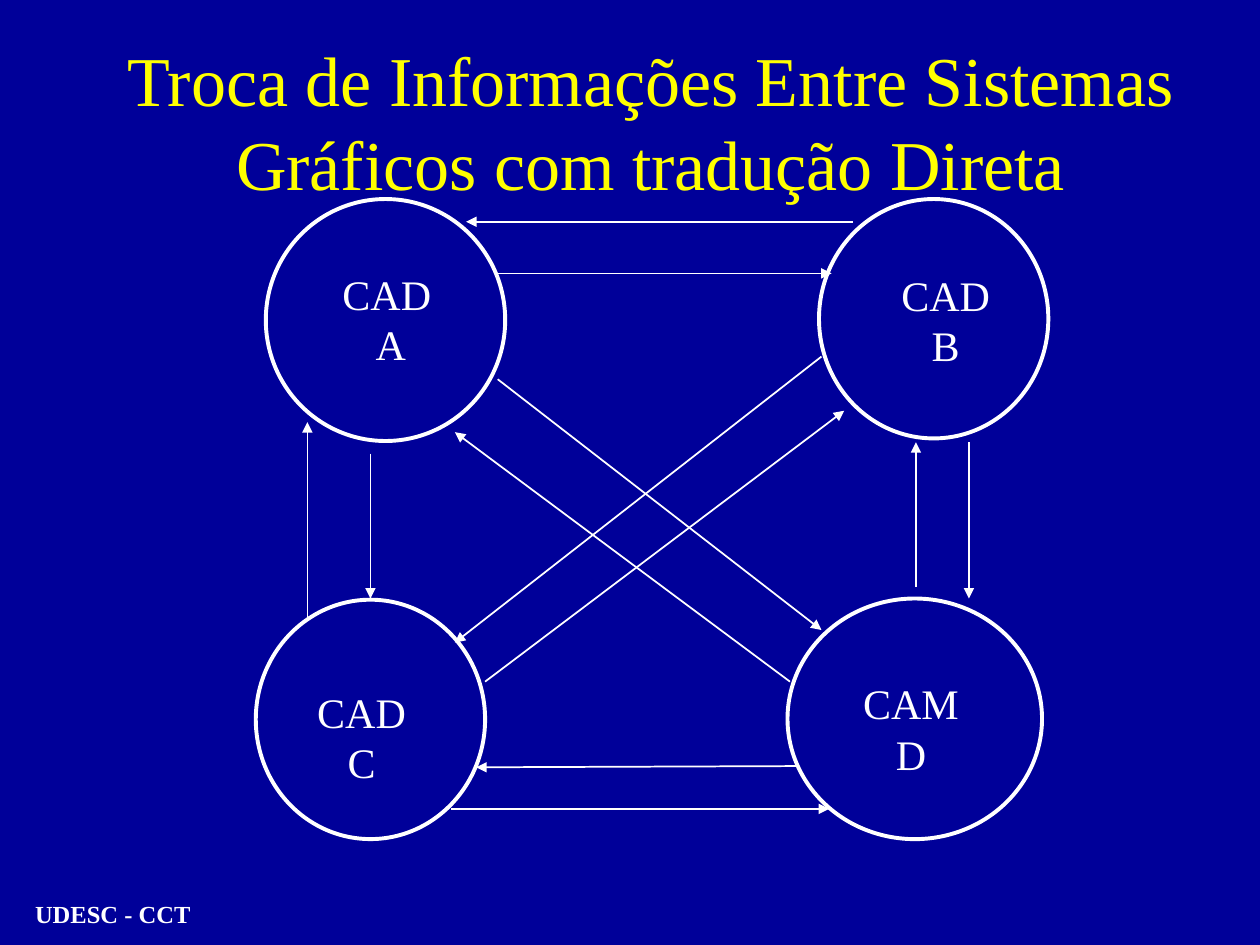
"""Build a slide showing direct data translation between four graphic systems."""
import dataclasses

import pptx
import pptx.dml.color
import pptx.enum.shapes
import pptx.enum.text
import pptx.oxml.ns
import pptx.util
from lxml import etree
from pptx.util import Inches


@dataclasses.dataclass(frozen=True)
class Theme:
    font: str = "Times New Roman"
    background: str = "000099"
    foreground: str = "FFFFFF"
    accent: str = "FFFF00"
    title_size: int = 40
    label_size: int = 24
    footer_size: int = 14
    circle_width: float = 2.25
    arrow_width: float = 1


theme = Theme()
color = pptx.dml.color.RGBColor.from_string
align = pptx.enum.text.PP_ALIGN
anchors = pptx.enum.text.MSO_ANCHOR
qn = pptx.oxml.ns.qn

presentation = pptx.Presentation()
presentation.slide_width, presentation.slide_height = Inches(10), Inches(7.5)
slide = presentation.slides.add_slide(presentation.slide_layouts[6])
slide.background.fill.solid()
slide.background.fill.fore_color.rgb = color(theme.background)


def add_text(text, *, box, size=theme.label_size, text_color=theme.foreground,
             bold=False, alignment=align.CENTER, anchor=anchors.TOP, wrap=True):
    """Add a text box; a newline starts a paragraph and a vertical tab breaks a line."""
    shape = slide.shapes.add_textbox(*map(Inches, box))
    frame = shape.text_frame
    frame.text = text
    frame.word_wrap = wrap
    frame.vertical_anchor = anchor
    frame.auto_size = pptx.enum.text.MSO_AUTO_SIZE.SHAPE_TO_FIT_TEXT
    for paragraph in frame.paragraphs:
        paragraph.alignment = alignment
        for run in paragraph.runs:
            run.font.name = theme.font
            run.font.size = pptx.util.Pt(size)
            run.font.bold = bold
            run.font.color.rgb = color(text_color)


systems = [
    ("CAD\n A", (2.11, 1.58, 1.9, 1.92), (2.42, 2.08, 1.3, 0.83), True),
    ("CAD\vB", (6.5, 1.58, 1.82, 1.9), (6.93, 2.09, 1.15, 0.83), True),
    ("CAD\vC", (2.03, 4.76, 1.82, 1.9), (2.4, 5.4, 0.94, 0.83), False),
    ("CAM\vD", (6.25, 4.75, 2.02, 1.91), (6.73, 5.33, 1, 0.83), False),
]
for label, circle_box, label_box, wrap in systems:
    circle = slide.shapes.add_shape(
        pptx.enum.shapes.MSO_SHAPE.OVAL, *map(Inches, circle_box))
    circle.shadow.inherit = False
    circle.fill.background()
    circle.line.color.rgb = color(theme.foreground)
    circle.line.width = pptx.util.Pt(theme.circle_width)
    add_text(label, box=label_box, wrap=wrap)

arrows = [
    (6.27, 5.41, 3.61, 3.43),
    (3.95, 3.01, 6.52, 5),
    (6.52, 2.83, 3.61, 5.1),
    (3.85, 5.41, 6.7, 3.26),
    (6.77, 1.76, 3.7, 1.76),
    (3.95, 2.17, 6.6, 2.17),
    (2.44, 4.91, 2.44, 3.35),
    (2.94, 3.6, 2.94, 4.75),
    (3.58, 6.42, 6.58, 6.42),
    (6.33, 6.08, 3.78, 6.09),
    (7.27, 4.66, 7.27, 3.51),
    (7.69, 3.51, 7.69, 4.75),
]
for points in arrows:
    arrow = slide.shapes.add_connector(
        pptx.enum.shapes.MSO_CONNECTOR.STRAIGHT, *map(Inches, points))
    arrow.line.color.rgb = color(theme.foreground)
    arrow.line.width = pptx.util.Pt(theme.arrow_width)
    etree.SubElement(arrow.line._get_or_add_ln(), qn("a:tailEnd"), type="triangle")
    etree.SubElement(arrow._element.spPr, qn("a:effectLst"))

add_text("Troca de Informações Entre Sistemas Gráficos com tradução Direta",
         box=(0.75, 0.29, 8.83, 1.33), size=theme.title_size,
         text_color=theme.accent, anchor=anchors.MIDDLE)
add_text("UDESC - CCT", box=(0.18, 7.1, 1.5, 0.31), size=theme.footer_size,
         bold=True, alignment=align.LEFT, anchor=anchors.MIDDLE, wrap=False)

presentation.save("out.pptx")
